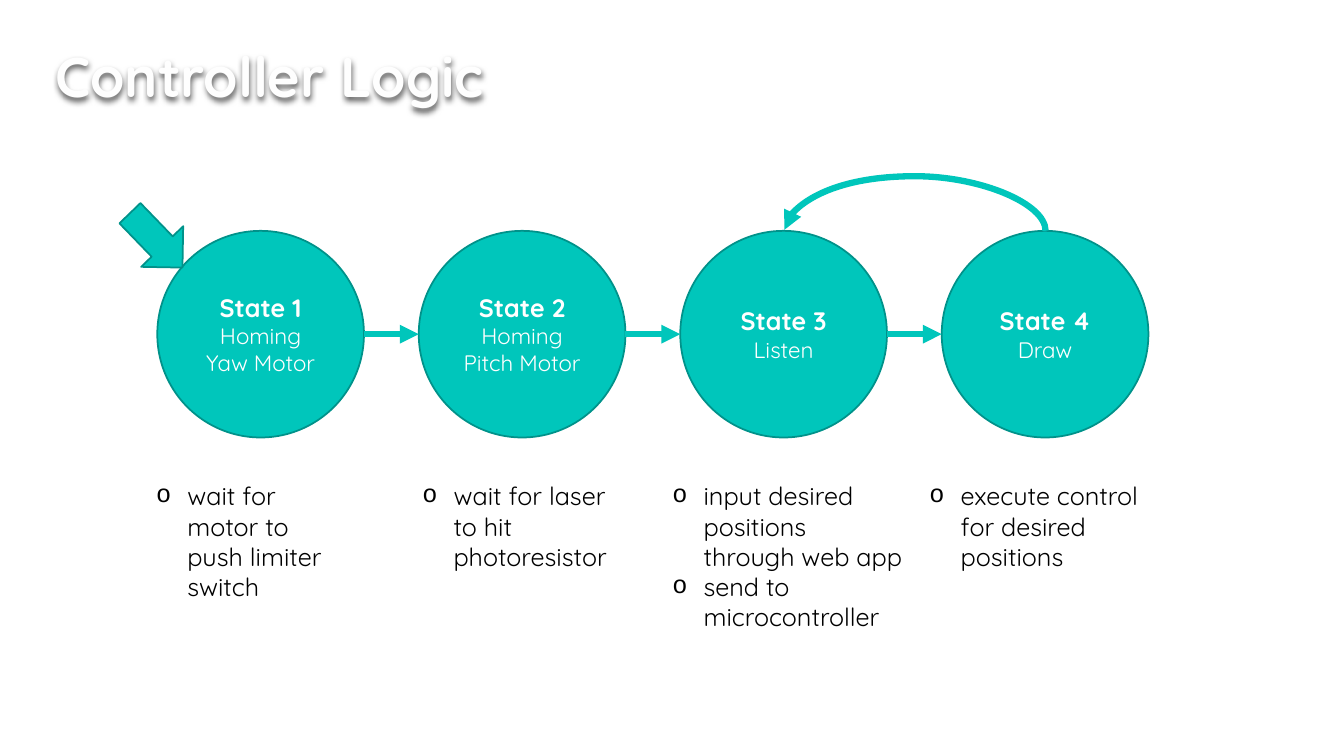
import pptx
import pptx.dml.color
import pptx.enum.shapes
import pptx.enum.text
import pptx.oxml
import pptx.oxml.ns
import pptx.util
from pptx.util import Inches

FONT = "Quicksand"
COLORS = {"teal": "00C6BB", "outline": "00928A", "white": "FFFFFF",
          "title": "FEFEFE", "text": "000000"}
NAMESPACE = pptx.oxml.ns.nsdecls("a")

# Circle row
FIRST_LEFT, LAST_LEFT, CIRCLE_TOP, CIRCLE_SIZE = 1.56, 9.34, 2.29, 2.05
CAPTION_TOP = 4.72

# State name, action, caption left, caption width, caption height, bullets
STATES = [
    ("State 1", "Homing Yaw Motor", 1.45, 2.04, 1.31,
     ["wait for motor to push limiter switch"]),
    ("State 2", "Homing Pitch Motor", 4.09, 2.11, 1.01,
     ["wait for laser to hit photoresistor"]),
    ("State 3", "Listen", 6.57, 2.49, 1.92,
     ["input desired positions through web app", "send to microcontroller"]),
    ("State 4", "Draw", 9.12, 2.5, 1.01,
     ["execute control for desired positions"]),
]


def color(name):
    return pptx.dml.color.RGBColor.from_string(COLORS[name])


def append_xml(parent, xml):
    parent.append(pptx.oxml.parse_xml(xml))


def add_run(paragraph, text, size, color_name, bold=False):
    run = paragraph.add_run()
    run.text = text
    run.font.name = FONT
    run.font.size = pptx.util.Pt(size)
    run.font.bold = bold
    run.font.color.rgb = color(color_name)


def add_text_box(slide, left, top, width, height):
    box = slide.shapes.add_textbox(Inches(left), Inches(top), Inches(width), Inches(height))
    box.text_frame.word_wrap = True
    return box


def add_title(slide, text):
    box = add_text_box(slide, 0.45, 0.38, 11.56, 0.75)
    box.text_frame.vertical_anchor = pptx.enum.text.MSO_ANCHOR.BOTTOM
    add_run(box.text_frame.paragraphs[0], text, 40, "title", bold=True)
    # The soft shadow of the unfilled box falls from its white letters
    append_xml(box._element.spPr,
               f'<a:effectLst {NAMESPACE}><a:outerShdw blurRad="50800" dist="25400" '
               'dir="5400000"><a:srgbClr val="000000"><a:alpha val="60000"/></a:srgbClr>'
               '</a:outerShdw></a:effectLst>')


def add_filled_shape(slide, kind, left, top, width, height):
    shape = slide.shapes.add_shape(kind, Inches(left), Inches(top), Inches(width), Inches(height))
    shape.shadow.inherit = False
    shape.fill.solid()
    shape.fill.fore_color.rgb = color("teal")
    shape.line.color.rgb = color("outline")
    shape.line.width = pptx.util.Pt(1.25)
    return shape


def add_state(slide, left, name, action):
    circle = add_filled_shape(slide, pptx.enum.shapes.MSO_SHAPE.OVAL,
                              left, CIRCLE_TOP, CIRCLE_SIZE, CIRCLE_SIZE)
    frame = circle.text_frame
    frame.word_wrap = True
    frame.vertical_anchor = pptx.enum.text.MSO_ANCHOR.MIDDLE
    name_paragraph, action_paragraph = frame.paragraphs[0], frame.add_paragraph()
    add_run(name_paragraph, name, 18, "white", bold=True)
    add_run(action_paragraph, action, 16, "white")
    for paragraph in frame.paragraphs:
        paragraph.alignment = pptx.enum.text.PP_ALIGN.CENTER


def add_arrow(slide, kind, start_x, start_y, end_x, end_y):
    arrow = slide.shapes.add_connector(kind, Inches(start_x), Inches(start_y),
                                       Inches(end_x), Inches(end_y))
    arrow.line.color.rgb = color("teal")
    arrow.line.width = pptx.util.Pt(4.5)
    append_xml(arrow.line._get_or_add_ln(), f'<a:tailEnd {NAMESPACE} type="triangle"/>')
    append_xml(arrow._element.spPr, f"<a:effectLst {NAMESPACE}/>")
    return arrow


def add_return_arrow(slide):
    # A nearly flat curve turned by 270 degrees, bulging upwards
    arrow = add_arrow(slide, pptx.enum.shapes.MSO_CONNECTOR.CURVE, 9.07, 3.58, 9.08, 0.99)
    properties = arrow._element.spPr
    properties.find(pptx.oxml.ns.qn("a:xfrm")).set("rot", str(270 * 60000))
    geometry = properties.find(pptx.oxml.ns.qn("a:prstGeom"))
    for child in list(geometry):
        geometry.remove(child)
    append_xml(geometry, f'<a:avLst {NAMESPACE}>'
                         '<a:gd name="adj1" fmla="val 5500000"/></a:avLst>')


def add_caption(slide, left, width, height, bullets):
    frame = add_text_box(slide, left, CAPTION_TOP, width, height).text_frame
    frame.auto_size = pptx.enum.text.MSO_AUTO_SIZE.SHAPE_TO_FIT_TEXT
    for index, text in enumerate(bullets):
        paragraph = frame.add_paragraph() if index else frame.paragraphs[0]
        properties = paragraph._p.get_or_add_pPr()
        properties.set("marL", str(Inches(0.31)))
        properties.set("indent", str(Inches(-0.31)))
        append_xml(properties, f'<a:buFont {NAMESPACE} typeface="Courier New,monospace"/>')
        append_xml(properties, f'<a:buChar {NAMESPACE} char="o"/>')
        add_run(paragraph, text, 18, "text")


def main():
    presentation = pptx.Presentation()
    presentation.slide_width = Inches(13.33)
    presentation.slide_height = Inches(7.5)
    slide = presentation.slides.add_slide(presentation.slide_layouts[6])
    add_title(slide, "Controller Logic")

    # States
    pitch = (LAST_LEFT - FIRST_LEFT) / (len(STATES) - 1)
    lefts = [FIRST_LEFT + index * pitch for index in range(len(STATES))]
    for left, (name, action, *_) in zip(lefts, STATES):
        add_state(slide, left, name, action)

    # Entry arrow
    entry = add_filled_shape(slide, pptx.enum.shapes.MSO_SHAPE.DOWN_ARROW,
                             1.26, 2.01, 0.58, 0.75)
    entry.rotation = 316

    # Transitions
    middle = CIRCLE_TOP + CIRCLE_SIZE / 2
    for left, next_left in zip(lefts, lefts[1:]):
        add_arrow(slide, pptx.enum.shapes.MSO_CONNECTOR.STRAIGHT,
                  left + CIRCLE_SIZE, middle, next_left, middle)
    add_return_arrow(slide)

    # Captions
    for _, _, left, width, height, bullets in STATES:
        add_caption(slide, left, width, height, bullets)

    presentation.save("out.pptx")


if __name__ == "__main__":
    main()
